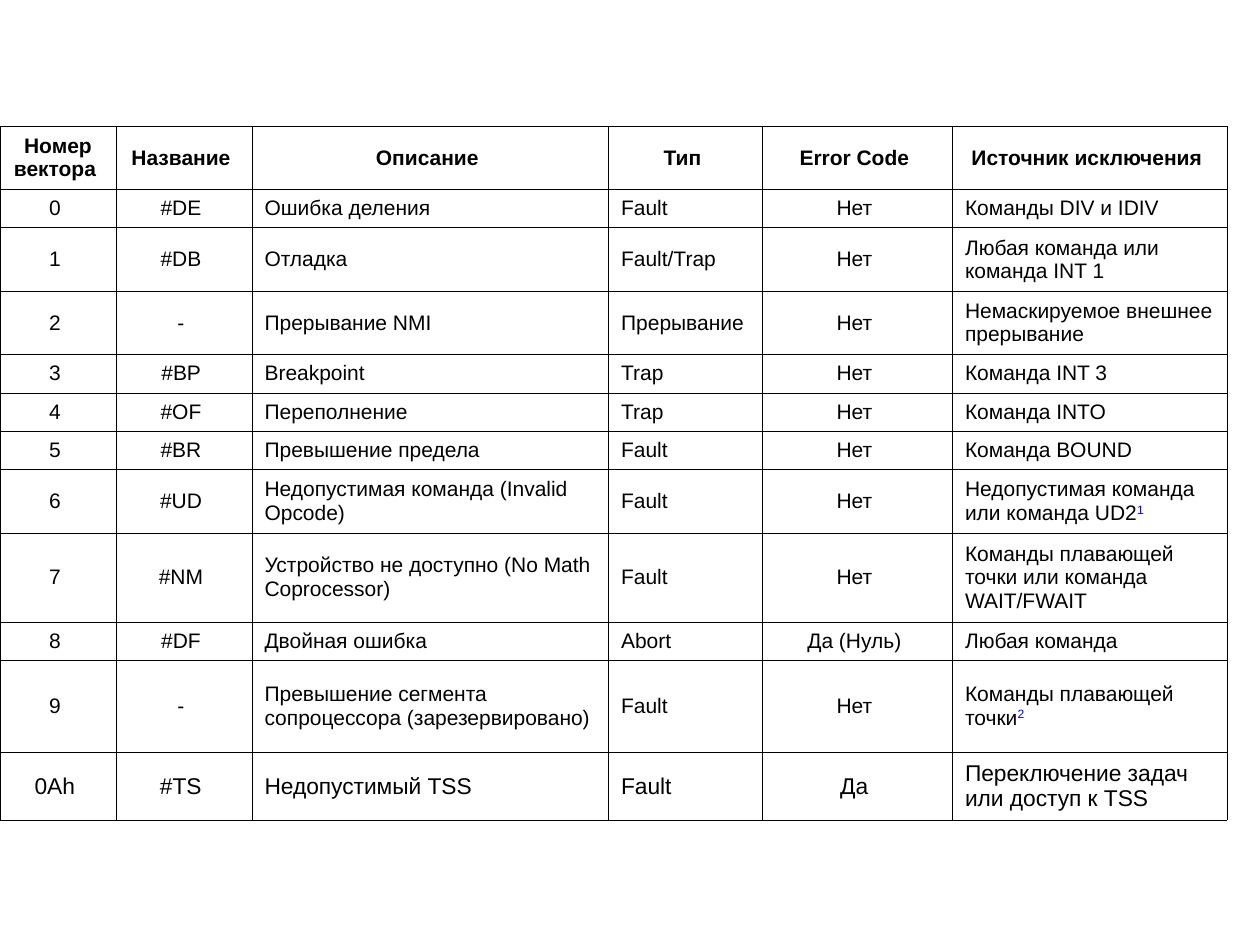
from dataclasses import dataclass
from typing import NamedTuple

from lxml.etree import SubElement
from pptx import Presentation
from pptx.dml.color import RGBColor
from pptx.enum.text import MSO_ANCHOR, PP_ALIGN
from pptx.oxml import parse_xml
from pptx.oxml.ns import nsdecls, qn
from pptx.util import Inches, Pt


@dataclass(frozen=True)
class Theme:
    font: str = "Arial"
    ink: str = "000000"
    note: str = "0000FF"
    body: int = 12
    last: int = 13
    line: float = 0.34
    lift: int = 30000


class Fault(NamedTuple):
    num: str
    name: str
    text: str
    kind: str
    code: str
    cause: str
    high: float  # row height, share of the slide height
    note: str = ""


LOOK = Theme()
WIDE, HIGH = Inches(10), Inches(7.5)
TOP = 1 / 7.5

# Row heights by number of text lines, as shares of the slide height
ONE, TWO, THREE = 0.305 / 7.5, 0.503 / 7.5, 0.705 / 7.5
SPARE, LAST = 0.73 / 7.5, 0.54 / 7.5

# Column widths as shares of the slide width, and the centred columns
COLS = (0.092, 0.108, 0.283, 0.122, 0.151, 0.218)
MID = {0, 1, 4}

HEAD = Fault("Номер вектора", "Название", "Описание", "Тип", "Error Code",
             "Источник исключения", TWO)
ROWS = (
    Fault("0", "#DE", "Ошибка деления", "Fault", "Нет", "Команды DIV и IDIV", ONE),
    Fault("1", "#DB", "Отладка", "Fault/Trap", "Нет",
          "Любая команда или команда INT 1", TWO),
    Fault("2", "-", "Прерывание NMI", "Прерывание", "Нет",
          "Немаскируемое внешнее прерывание", TWO),
    Fault("3", "#BP", "Breakpoint", "Trap", "Нет", "Команда INT 3", ONE),
    Fault("4", "#OF", "Переполнение", "Trap", "Нет", "Команда INTO", ONE),
    Fault("5", "#BR", "Превышение предела", "Fault", "Нет", "Команда BOUND", ONE),
    Fault("6", "#UD", "Недопустимая команда (Invalid Opcode)", "Fault", "Нет",
          "Недопустимая команда или команда UD2", TWO, "1"),
    Fault("7", "#NM", "Устройство не доступно (No Math Coprocessor)", "Fault", "Нет",
          "Команды плавающей точки или команда WAIT/FWAIT", THREE),
    Fault("8", "#DF", "Двойная ошибка", "Abort", "Да (Нуль)", "Любая команда", ONE),
    Fault("9", "-", "Превышение сегмента сопроцессора (зарезервировано)", "Fault",
          "Нет", "Команды плавающей точки", SPARE, "2"),
    Fault("0Ah", "#TS", "Недопустимый TSS", "Fault", "Да",
          "Переключение задач или доступ к TSS", LAST),
)


def set_all(item, **form) -> None:
    for key, val in form.items():
        setattr(item, key, val)


def add_run(para, text: str, size: int, bold: bool, tint: str):
    run = para.add_run()
    run.text = text
    set_all(run.font, name=LOOK.font, size=Pt(size), bold=bold)
    run.font.color.rgb = RGBColor.from_string(tint)
    return run


def add_lines(cell) -> None:
    """Draw a thin line on each side of the cell."""
    props = cell._tc.get_or_add_tcPr()
    for spot, side in enumerate(("lnL", "lnR", "lnT", "lnB")):
        edge = parse_xml(f'<a:{side} {nsdecls("a")} w="{int(Pt(LOOK.line))}"/>')
        fill = SubElement(edge, qn("a:solidFill"))
        SubElement(fill, qn("a:srgbClr"), val=LOOK.ink)
        props.insert(spot, edge)


def fill_cell(cell, text: str, size: int, mid: bool, bold: bool, note: str) -> None:
    cell.fill.background()
    cell.vertical_anchor = MSO_ANCHOR.MIDDLE
    add_lines(cell)
    para = cell.text_frame.paragraphs[0]
    para.alignment = PP_ALIGN.CENTER if mid else PP_ALIGN.LEFT
    add_run(para, text + " " if mid else text, size, bold, LOOK.ink)
    if note:
        mark = add_run(para, note, size, bold, LOOK.note)
        mark._r.get_or_add_rPr().set("baseline", str(LOOK.lift))


def add_grid(slide, rows: tuple[Fault, ...]) -> None:
    tall = sum(row.high for row in rows)
    frame = slide.shapes.add_table(
        len(rows), len(COLS), 0, round(TOP * HIGH),
        round(sum(COLS) * WIDE), round(tall * HIGH))
    grid = frame.table
    set_all(grid, first_row=False, horz_banding=False)
    for col, share in zip(grid.columns, COLS):
        col.width = round(share * WIDE)
    for r, row in enumerate(rows):
        grid.rows[r].height = round(row.high * HIGH)
        head = row is HEAD
        size = LOOK.last if row is rows[-1] else LOOK.body
        for c, text in enumerate(row[:len(COLS)]):
            note = row.note if c == len(COLS) - 1 else ""
            fill_cell(grid.cell(r, c), text, size, head or c in MID, head, note)


def main() -> None:
    deck = Presentation()
    set_all(deck, slide_width=WIDE, slide_height=HIGH)
    # Blank layout: the slide holds only the table
    slide = deck.slides.add_slide(deck.slide_layouts[6])
    add_grid(slide, (HEAD, *ROWS))
    deck.save("out.pptx")


if __name__ == "__main__":
    main()
